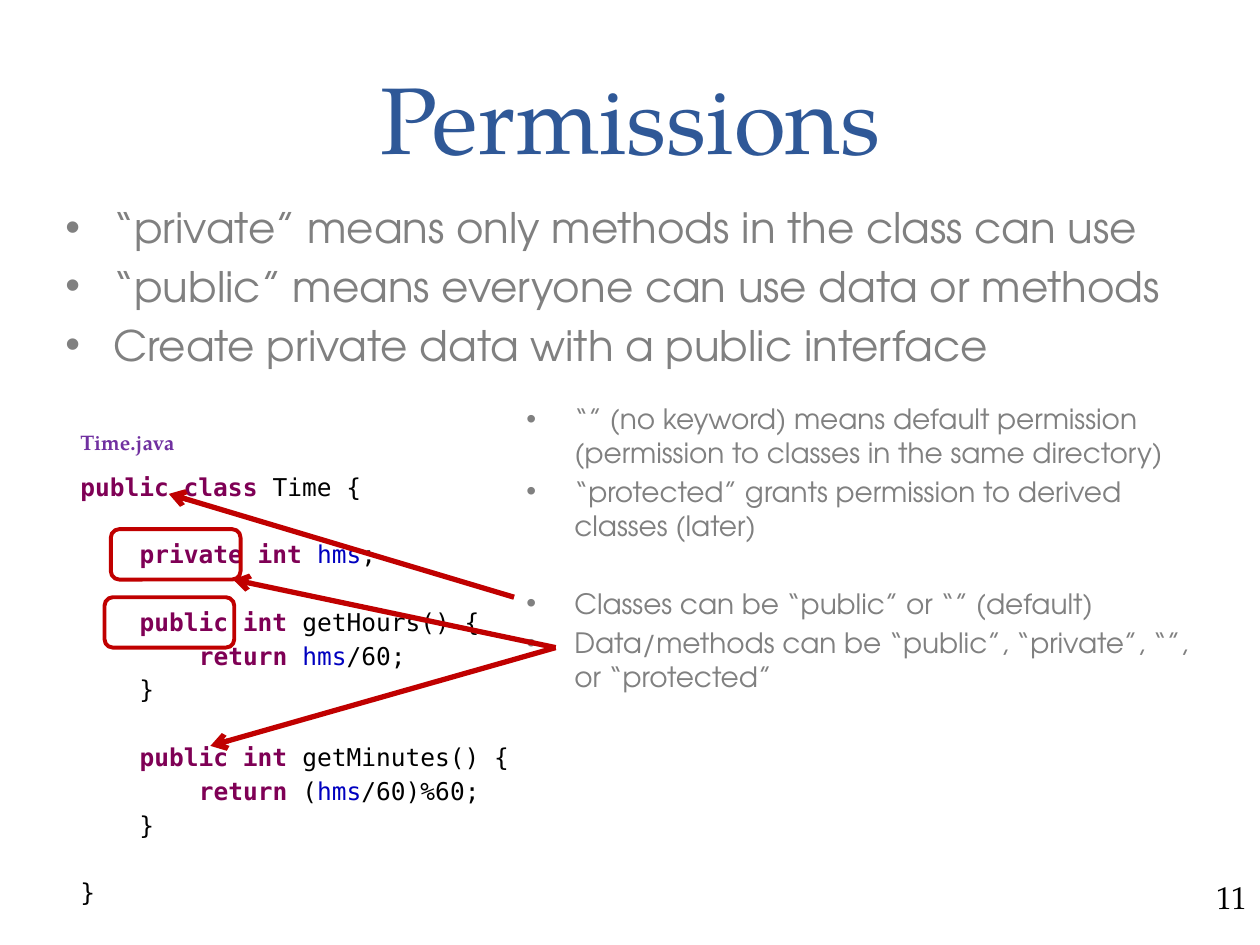
from lxml.etree import SubElement
from pptx import Presentation
from pptx.dml.color import RGBColor
from pptx.enum.shapes import MSO_CONNECTOR as LINE, MSO_SHAPE as SHAPE
from pptx.enum.text import MSO_ANCHOR as ANCHOR, PP_ALIGN as ALIGN
from pptx.oxml.ns import qn
from pptx.util import Inches, Pt

HUE = {"title": "2F5897", "body": "808080", "file": "7030A0", "mark": "C00000",
       "key": "7F0055", "field": "0000C0", "plain": "000000"}
SERIF, SANS, MONO = "TeX Gyre Pagella", "TeX Gyre Adventor", "DejaVu Sans Mono"

RULES = ["“private” means only methods in the class can use",
         "“public” means everyone can use data or methods",
         "Create private data with a public interface"]
WORDS = ["“” (no keyword) means default permission "
         "(permission to classes in the same directory)",
         "“protected” grants permission to derived classes (later)"]
USES = ["Classes can be “public” or “” (default)",
        "Data/methods can be “public”, “private”, “”, or “protected”"]

BLANK = [("plain", "    ")]
CLOSE = [("plain", "    }")]
CODE = [
    [("key", "public class"), ("plain", " Time {")],
    BLANK,
    [("plain", "    "), ("key", "private int "), ("field", "hms"), ("plain", ";")],
    BLANK,
    [("plain", "    "), ("key", "public int "), ("plain", "getHours() {")],
    [("plain", "        "), ("key", "return "), ("field", "hms"), ("plain", "/60;")],
    CLOSE,
    BLANK,
    [("plain", "    "), ("key", "public int "), ("plain", "getMinutes() {")],
    [("plain", "        "), ("key", "return"), ("plain", " ("), ("field", "hms"),
     ("plain", "/60)%60;")],
    CLOSE,
    BLANK,
    [("plain", "}")],
]


def color(name):
    return RGBColor.from_string(HUE[name])


def style(font, face, size, hue, bold=False):
    font.name, font.size, font.bold = face, Pt(size), bold
    font.color.rgb = color(hue)


def frame(slide, box):
    text = slide.shapes.add_textbox(*map(Inches, box)).text_frame
    text.word_wrap = True
    return text


def lines(text, count):
    return [text.paragraphs[0]] + [text.add_paragraph() for _ in range(count - 1)]


def add_title(slide, box, words):
    title = slide.shapes.title
    title.left, title.top, title.width, title.height = map(Inches, box)
    title.text_frame.vertical_anchor = ANCHOR.BOTTOM
    para = title.text_frame.paragraphs[0]
    para.text, para.alignment, para.line_spacing = words, ALIGN.CENTER, Pt(58)
    style(para.font, SERIF, 54, "title")


def add_label(slide, box, words, size, hue, bold=False, align=ALIGN.LEFT):
    para = frame(slide, box).paragraphs[0]
    para.text, para.alignment = words, align
    style(para.font, SERIF, size, hue, bold)


def add_list(slide, box, size, *groups):
    items = [(word, group is not groups[0] and word is group[0])
             for group in groups for word in group]
    paras = lines(frame(slide, box), len(items))
    for at, (para, (word, fresh)) in enumerate(zip(paras, items)):
        para.text = word
        props = para._p.get_or_add_pPr()
        props.set("marL", str(Inches(0.38)))
        props.set("indent", str(-Inches(0.38)))
        SubElement(props, qn("a:buFont"), typeface="Arial")
        SubElement(props, qn("a:buChar"), char="•")
        gap = size * (1.6 if fresh else 0.2)
        para.space_before = Pt(gap if at else 0)
        style(para.font, SANS, size, "body")


def add_code(slide, box):
    paras = lines(frame(slide, box), len(CODE))
    for para, parts in zip(paras, CODE):
        para.line_spacing = 1.15
        for kind, word in parts:
            run = para.add_run()
            run.text = word
            style(run.font, MONO, 14, kind, kind == "key")


def add_mark(slide, box):
    mark = slide.shapes.add_shape(SHAPE.ROUNDED_RECTANGLE, *map(Inches, box))
    mark.shadow.inherit = False
    mark.fill.background()
    mark.line.color.rgb, mark.line.width = color("mark"), Pt(2.25)


def add_arrow(slide, start, end):
    arrow = slide.shapes.add_connector(LINE.STRAIGHT, *map(Inches, start + end))
    arrow.line.color.rgb, arrow.line.width = color("mark"), Pt(3)
    SubElement(arrow.line._get_or_add_ln(), qn("a:tailEnd"), type="arrow")
    SubElement(arrow._element.spPr, qn("a:effectLst"))


def main():
    deck = Presentation()
    deck.slide_width, deck.slide_height = Inches(10), Inches(7.5)
    slide = deck.slides.add_slide(deck.slide_layouts[5])
    add_title(slide, (0.17, 0.35, 9.67, 1.08), "Permissions")
    add_label(slide, (9.39, 6.92, 0.61, 0.4), "11", 18, "plain", align=ALIGN.RIGHT)
    add_code(slide, (0.54, 3.66, 3.8, 3.51))
    add_label(slide, (0.54, 3.36, 1.31, 0.3), "Time.java", 12, "file", True)
    add_list(slide, (0.42, 1.55, 9.08, 1.7), 24, RULES)
    for left, top in ((0.88, 4.2), (0.83, 4.74)):
        add_mark(slide, (left, top, 1.03, 0.4))
    add_list(slide, (4.08, 3.14, 5.58, 3.78), 16, WORDS, USES)
    add_arrow(slide, (4.08, 4.74), (1.34, 3.92))
    for end in ((1.67, 5.92), (1.85, 4.6)):
        add_arrow(slide, (4.41, 5.14), end)
    deck.save("out.pptx")


if __name__ == "__main__":
    main()
